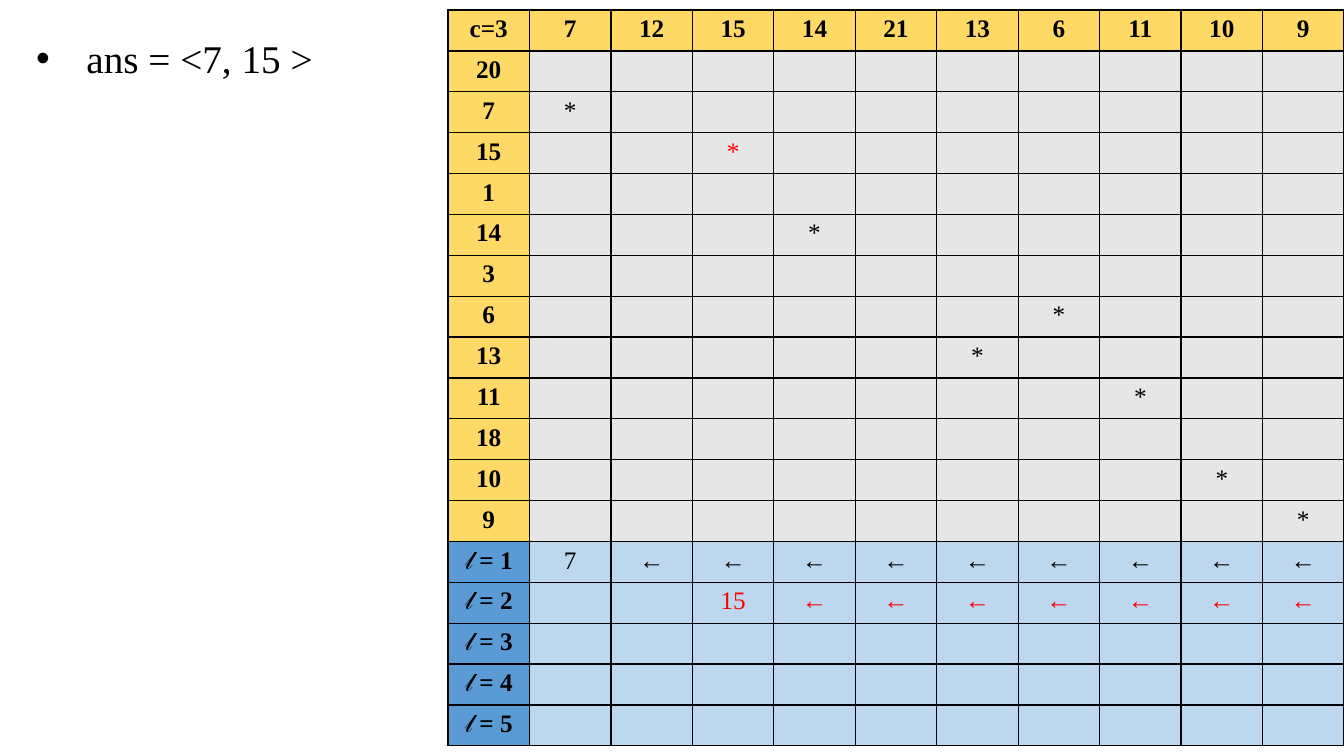
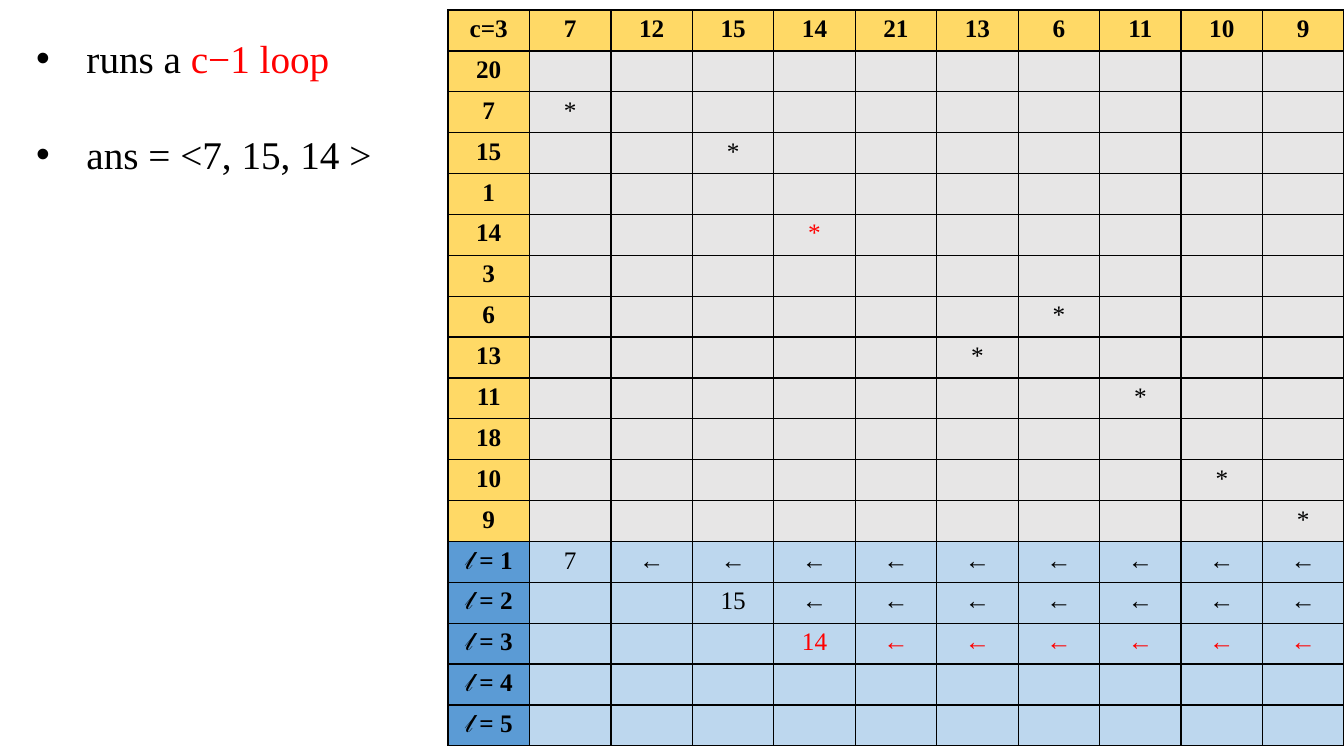
from dataclasses import dataclass
from typing import Any

from lxml.etree import SubElement as Sub
from pptx import Presentation as Deck
from pptx.dml.color import RGBColor as Color
from pptx.enum.text import MSO_AUTO_SIZE as Fit, PP_ALIGN as Align
from pptx.oxml.ns import qn
from pptx.util import Emu, Inches, Pt


@dataclass(frozen=True)
class Theme:
    font: str = "Times New Roman"
    ink: str = "000000"
    hot: str = "FF0000"
    gold: str = "FFD966"
    gray: str = "E7E6E6"
    blue: str = "5B9BD5"
    pale: str = "BDD7EE"
    cell: float = 18
    note: float = 28
    gap: float = 35
    rule: float = 1


@dataclass(frozen=True)
class Span:
    text: str
    hot: bool = False


@dataclass(frozen=True)
class Step:
    """One state of the search: notes, and the values found so far."""
    notes: list[list[Span]]
    found: list[int]


@dataclass(frozen=True)
class Mark:
    text: str
    fill: str
    bold: bool = False
    hot: bool = False


THEME = Theme()
WIDE, HIGH = Inches(13.33), Inches(7.5)
TOP = [7, 12, 15, 14, 21, 13, 6, 11, 10, 9]
SIDE = [20, 7, 15, 1, 14, 3, 6, 13, 11, 18, 10, 9]
LEVELS = 5
STEPS = [
    Step([[Span("ans = <7, 15 >")]], [7, 15]),
    Step([[Span("runs a "), Span("c−1 loop", True)],
          [Span("ans = <7, 15, 14 >")]], [7, 15, 14]),
]


def apply(thing: Any, form: dict[str, Any]) -> None:
    for name, value in form.items():
        setattr(thing, name, value)


def write(para: Any, span: Span | Mark, size: float, bold: bool = False) -> None:
    run = para.add_run()
    run.text = span.text
    apply(run.font, {"name": THEME.font, "size": Pt(size), "bold": bold})
    run.font.color.rgb = Color.from_string(THEME.hot if span.hot else THEME.ink)


def frame(cell: Any) -> None:
    """Rule all four sides; call before the fill, which must come last."""
    props = cell._tc.get_or_add_tcPr()
    for side in ("a:lnL", "a:lnR", "a:lnT", "a:lnB"):
        line = Sub(props, qn(side), w=str(Pt(THEME.rule)))
        Sub(Sub(line, qn("a:solidFill")), qn("a:srgbClr"), val=THEME.ink)


def star(row: int, col: int, last: int) -> Mark:
    same = row == col
    return Mark("*" if same else "", THEME.gray, hot=same and row == last)


def level(rank: int, found: list[int]) -> list[Mark]:
    """The value found at this level, then arrows pointing back to it."""
    head = Mark(f"𝓁 = {rank}", THEME.blue, True)
    start = TOP.index(found[rank - 1]) if rank <= len(found) else len(TOP)
    hot = rank == len(found)
    texts = ["" if i < start else str(value) if i == start else "←"
             for i, value in enumerate(TOP)]
    return [head] + [Mark(text, THEME.pale, hot=hot) for text in texts]


def marks(found: list[int]) -> list[list[Mark]]:
    head = [Mark(str(text), THEME.gold, True) for text in ["c=3", *TOP]]
    body = [[Mark(str(row), THEME.gold, True)]
            + [star(row, col, found[-1]) for col in TOP] for row in SIDE]
    return [head, *body, *(level(i + 1, found) for i in range(LEVELS))]


def draw_grid(slide: Any, found: list[int]) -> None:
    rows = marks(found)
    left, top, high = WIDE // 3, Inches(0.1), Inches(7.3)
    table = slide.shapes.add_table(len(rows), len(rows[0]), left, top,
                                   WIDE - left, high).table
    apply(table, {"first_row": False, "horz_banding": False})
    for col in table.columns:
        col.width = Emu((WIDE - left) // len(rows[0]))
    for line, row in zip(table.rows, rows):
        line.height = Emu(high // len(rows))
        for cell, mark in zip(line.cells, row):
            frame(cell)
            cell.fill.solid()
            cell.fill.fore_color.rgb = Color.from_string(mark.fill)
            para = cell.text_frame.paragraphs[0]
            para.alignment = Align.CENTER
            if mark.text:
                write(para, mark, THEME.cell, mark.bold)


def draw_notes(slide: Any, notes: list[list[Span]]) -> None:
    left = Inches(0.26)
    box = slide.shapes.add_textbox(left, HIGH // 30, WIDE // 3 - left,
                                   Inches(0.09 + 0.95 * len(notes)))
    text = box.text_frame
    apply(text, {"word_wrap": True, "auto_size": Fit.NONE,
                 "margin_top": Inches(0.09)})
    for i, spans in enumerate(notes):
        para = text.add_paragraph() if i else text.paragraphs[0]
        if i:
            para.space_before = Pt(THEME.gap)
        props = para._p.get_or_add_pPr()
        props.set("marL", str(Inches(0.5)))
        props.set("indent", str(Inches(-0.5)))
        Sub(props, qn("a:buFont"), typeface="Arial")
        Sub(props, qn("a:buChar"), char="•")
        for span in spans:
            write(para, span, THEME.note)


def main() -> None:
    deck = Deck()
    apply(deck, {"slide_width": WIDE, "slide_height": HIGH})
    blank = deck.slide_layouts.get_by_name("Blank")
    for step in STEPS:
        slide = deck.slides.add_slide(blank)
        draw_grid(slide, step.found)
        draw_notes(slide, step.notes)
    deck.save("out.pptx")


if __name__ == "__main__":
    main()
